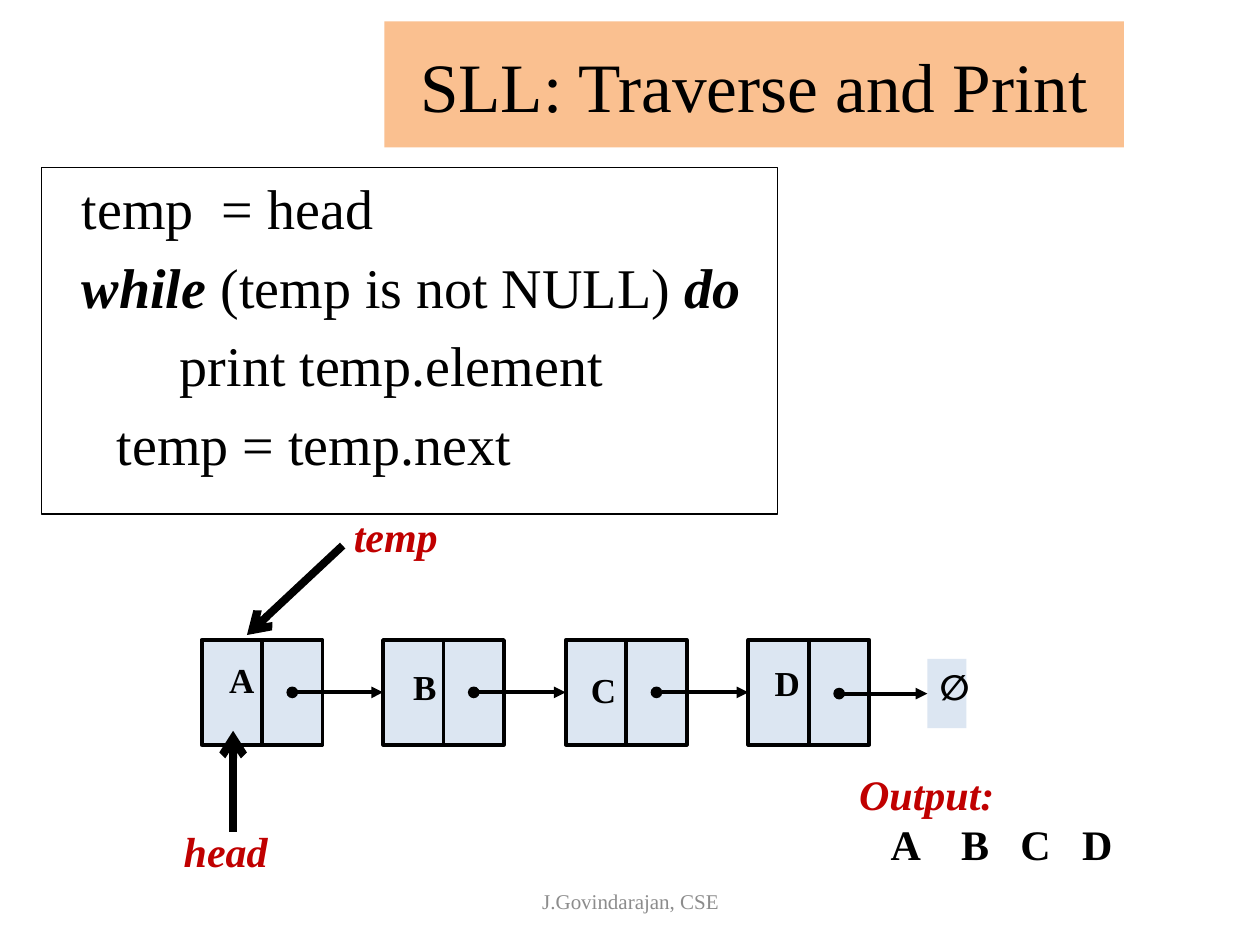
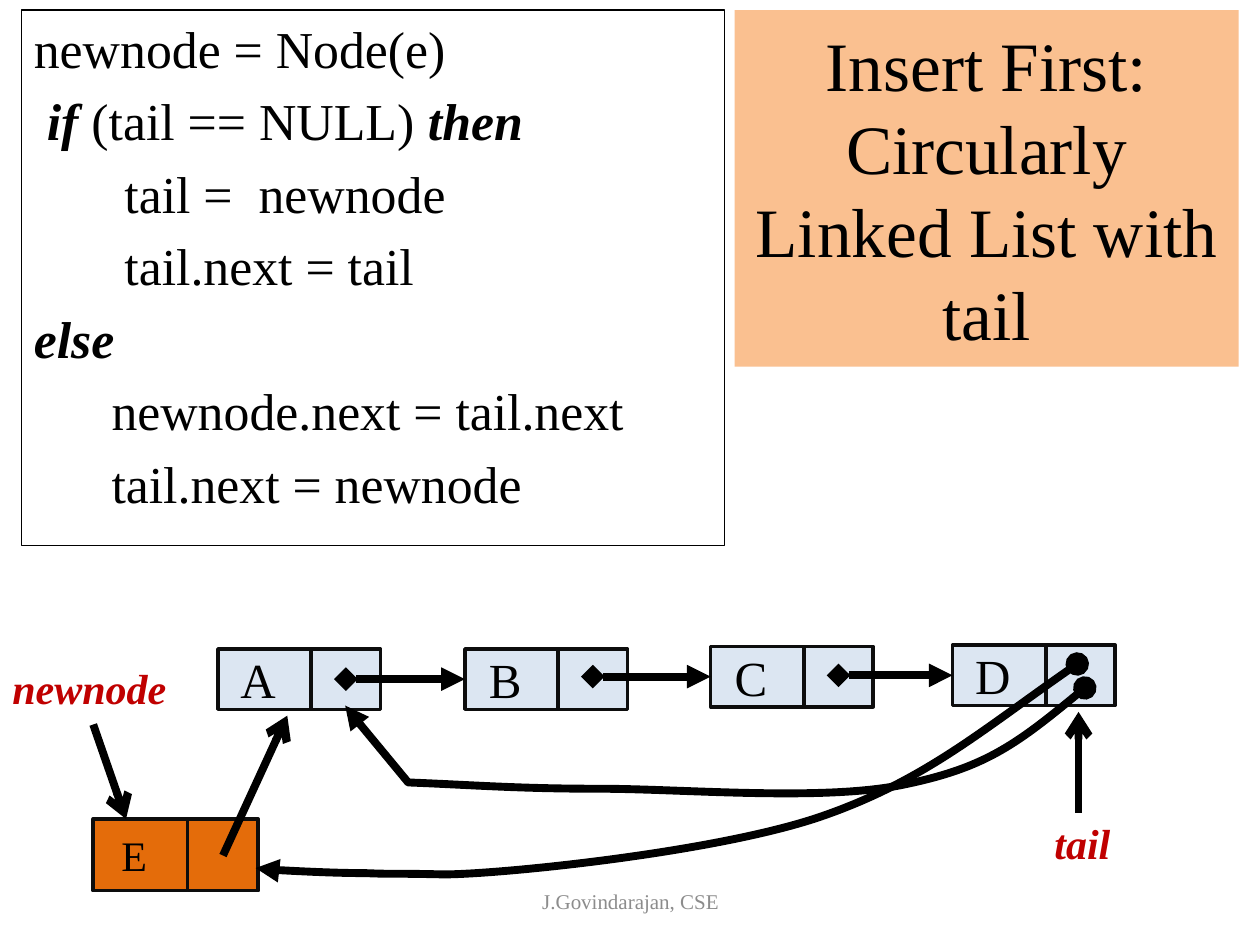
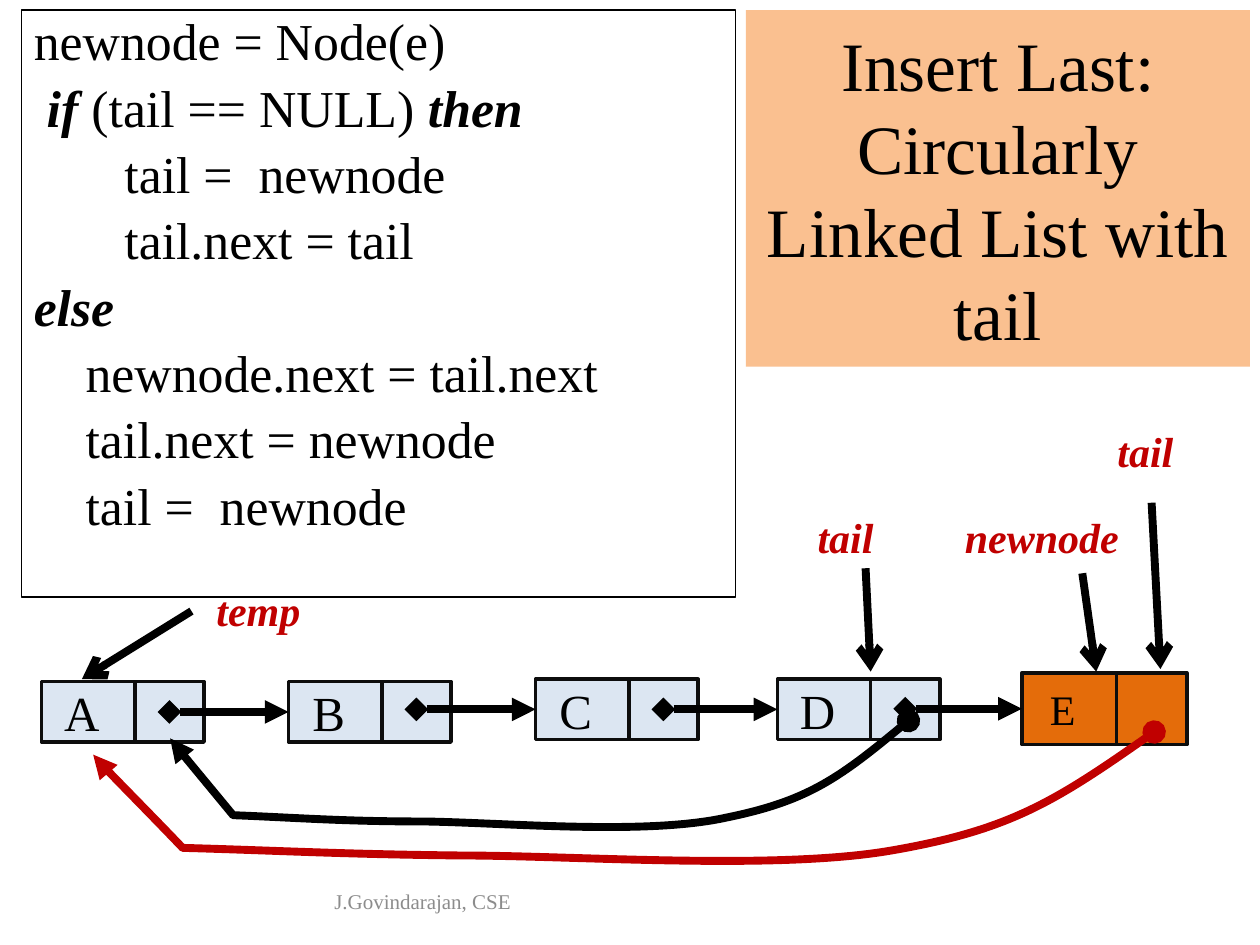
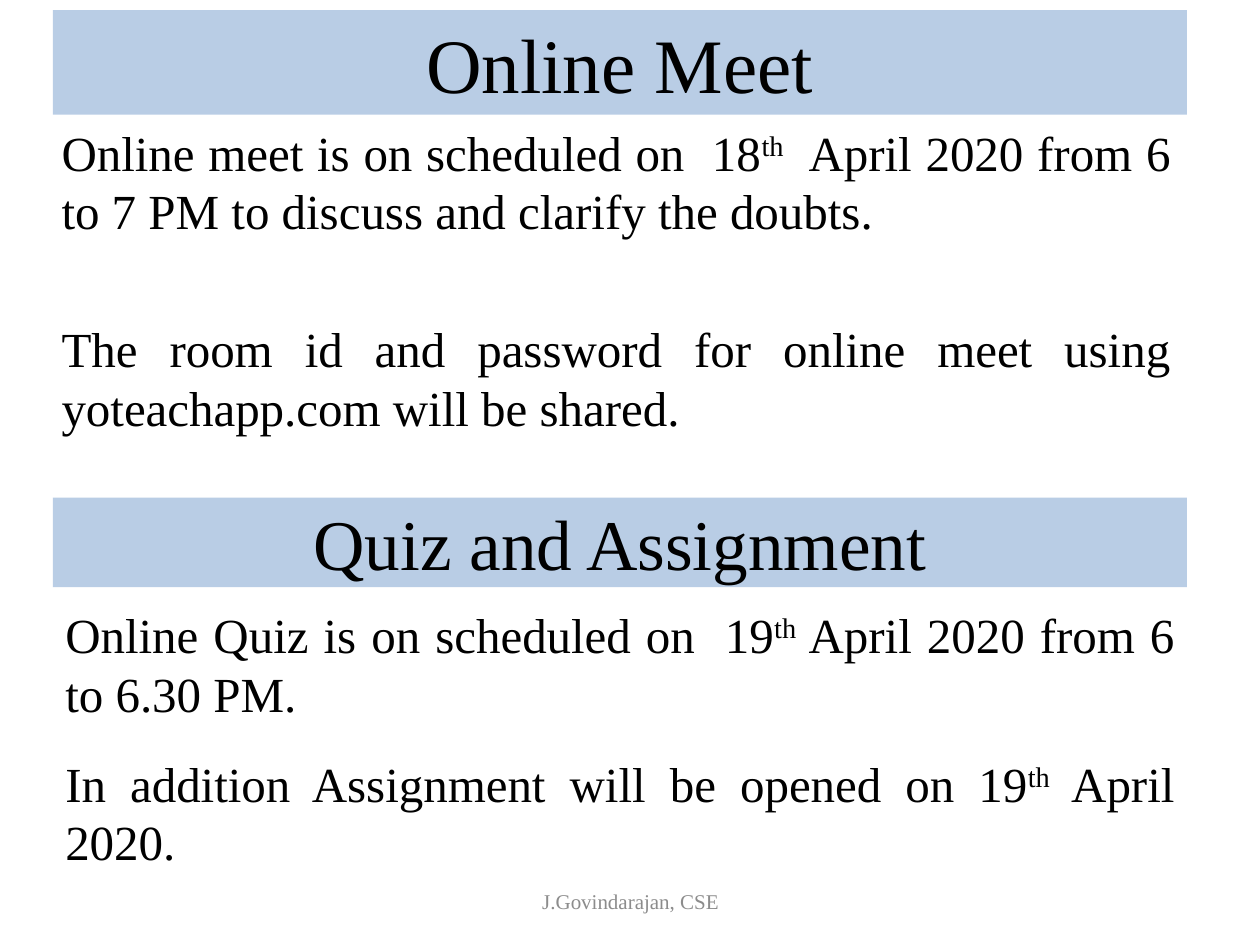
from dataclasses import dataclass

from lxml.etree import SubElement
from pptx import Presentation
from pptx.dml.color import RGBColor as Color
from pptx.enum.shapes import MSO_CONNECTOR as Connector, MSO_SHAPE as Shape
from pptx.enum.text import MSO_ANCHOR as Anchor, MSO_AUTO_SIZE as AutoSize, PP_ALIGN as Align
from pptx.oxml.ns import qn
from pptx.util import Emu, Pt

PX = 9144  # 100 px to the inch
TITLE_ONLY = 5
LEFT_SIDE = 1


@dataclass(frozen=True)
class Theme:
    font: str = "Times New Roman"
    symbol_font: str = "Calibri"
    ink: str = "000000"
    soft_ink: str = "0D0D0D"
    accent: str = "C00000"
    muted: str = "8C8C8C"
    peach: str = "FAC090"
    sky: str = "B9CDE5"
    node: str = "DCE6F2"
    new_node: str = "E46C0A"
    title: float = 39.6
    notice_title: float = 44
    subtitle: float = 40.7
    notice: float = 28
    node_text: float = 28
    label: float = 24
    cell_text: float = 20
    footer: float = 12
    pointer: float = 4.5
    link: float = 2.25
    outline: float = 2
    border: float = 0.75


class Board:
    """Holds the style and the slide being drawn."""

    def __init__(self, theme):
        self.theme = theme
        self.deck = Presentation()
        self.deck.slide_width, self.deck.slide_height = Emu(1000 * PX), Emu(750 * PX)
        self.page = None

    def new_page(self, title, area, fill, size, footer_left=342):
        layout = self.deck.slide_layouts[TITLE_ONLY]
        self.page = self.deck.slides.add_slide(layout)
        box = self.page.shapes.title
        box.left, box.top, box.width, box.height = (Emu(n * PX) for n in area)
        box.text_frame.auto_size = AutoSize.NONE
        self.paint(box, fill)
        self.fill_text(box, title, size)
        footer = self.text_box(footer_left, 695, 317, 40)
        self.fill_text(footer, "J.Govindarajan, CSE", self.theme.footer, self.theme.muted)

    # Text
    def style(self, span, size, color=None, bold=False, italic=False, font=None):
        span.font.name = font or self.theme.font
        span.font.size = Pt(size)
        span.font.bold, span.font.italic = bold, italic
        span.font.color.rgb = Color.from_string(color or self.theme.ink)

    def fill_text(self, box, text, size, color=None, align=Align.CENTER,
                  anchor=Anchor.MIDDLE, **look):
        frame = box.text_frame
        frame.text = text
        frame.vertical_anchor = anchor
        frame.word_wrap = True
        para = frame.paragraphs[0]
        para.alignment = align
        self.style(para.runs[0], size, color, **look)

    def text_box(self, left, top, width, height):
        area = (Emu(n * PX) for n in (left, top, width, height))
        box = self.page.shapes.add_textbox(*area)
        box.text_frame.word_wrap = True
        return box

    def marked(self, para, text, size, raised=False):
        """Pieces between asterisks are bold italic, or raised."""
        for index, piece in enumerate(text.split("*")):
            if not piece:
                continue
            strong = index % 2 == 1
            span = para.add_run()
            span.text = piece
            emphasis = strong and not raised
            self.style(span, size, bold=emphasis, italic=emphasis)
            if strong and raised:
                span.font._element.set("baseline", "30000")

    def code(self, area, lines, size, line_spacing=None):
        box = self.text_box(*area)
        self.outline(box, self.theme.ink, self.theme.border)
        frame = box.text_frame
        for index, line in enumerate(lines):
            para = frame.add_paragraph() if index else frame.paragraphs[0]
            if index:
                para.space_before = Pt(size * 0.2)
            if line_spacing:
                para.line_spacing = line_spacing
            self.marked(para, line, size)

    def notice(self, left, top, height, lines, gap):
        frame = self.text_box(left, top, 900, height).text_frame
        for index, line in enumerate(lines):
            para = frame.add_paragraph() if index else frame.paragraphs[0]
            para.alignment = Align.JUSTIFY
            if index:
                para.space_before = Pt(gap)
            self.marked(para, line, self.theme.notice, raised=True)

    def label(self, text, left, top, width):
        box = self.text_box(left, top, width, 50)
        self.fill_text(box, text, self.theme.label, self.theme.accent, Align.LEFT,
                       Anchor.TOP, bold=True, italic=True)
        box.text_frame.word_wrap = False
        return box

    def output(self, left, top, letters, stops):
        box = self.label("Output:", left, top, 225)
        para = box.text_frame.add_paragraph()
        tabs = SubElement(para._p.get_or_add_pPr(), qn("a:tabLst"))
        for stop in stops:
            SubElement(tabs, qn("a:tab"), pos=str(stop * PX), algn="l")
        span = para.add_run()
        span.text = "".join("\t" + letter for letter in letters)
        self.style(span, self.theme.label, bold=True)

    # Shapes
    def paint(self, box, fill):
        box.fill.solid()
        box.fill.fore_color.rgb = Color.from_string(fill)

    def outline(self, box, color, width):
        box.line.color.rgb = Color.from_string(color)
        box.line.width = Pt(width)

    def rect(self, left, top, width, height, fill, line=None, line_width=0):
        area = (Emu(n * PX) for n in (left, top, width, height))
        box = self.page.shapes.add_shape(Shape.RECTANGLE, *area)
        box.shadow.inherit = False
        self.paint(box, fill)
        if line:
            self.outline(box, line, line_width)
        else:
            box.line.fill.background()
        return box

    def node(self, text, left, top, widths=(74, 55), height=48, fill=None, size=None):
        """A value cell and a pointer cell, side by side."""
        theme = self.theme
        look = (fill or theme.node, theme.soft_ink, theme.outline)
        value = self.rect(left, top, widths[0], height, *look)
        self.fill_text(value, text, size or theme.node_text)
        value.text_frame.margin_right = Emu(20 * PX)
        pointer = self.rect(left + widths[0], top, widths[1], height, *look)
        return value, pointer

    def fresh_node(self, left, top):
        return self.node("E", left, top, (75, 56), 57, self.theme.new_node, self.theme.label)

    def tag(self, text, left, top, width, **look):
        """A letter on a small plate."""
        plate = self.rect(left, top, width, 55, self.theme.node)
        self.fill_text(plate, text, self.theme.cell_text, align=Align.LEFT,
                       anchor=Anchor.TOP, bold=True, **look)
        plate.text_frame.margin_right = 0
        return plate

    # Lines
    def ends(self, line, head, tail):
        stroke = line.line._get_or_add_ln()
        for name, kind in (("a:headEnd", head), ("a:tailEnd", tail)):
            if kind:
                SubElement(stroke, qn(name), type=kind)

    def connector(self, points, width, head=None, tail="arrow"):
        line = self.page.shapes.add_connector(Connector.STRAIGHT, *(Emu(n) for n in points))
        self.outline(line, self.theme.ink, width)
        self.ends(line, head, tail)
        SubElement(line._element.spPr, qn("a:effectLst"))
        return line

    def pointer(self, *points):
        self.connector([n * PX for n in points], self.theme.pointer)

    def link(self, source, target, width, head):
        """An arrow from the middle of a pointer cell to the next node."""
        middle = target.top + target.height // 2
        points = (source.left + source.width // 2, middle, target.left, middle)
        self.connector(points, width, head, "triangle").end_connect(target, LEFT_SIDE)

    def chain(self, nodes):
        for (_, pointer), (value, _) in zip(nodes, nodes[1:]):
            self.link(pointer, value, self.theme.pointer, "diamond")

    def curve(self, start, controls, color=None):
        """A Bezier line; every three control points make one piece."""
        builder = self.page.shapes.build_freeform(*start, scale=PX)
        builder.add_line_segments(controls, close=False)
        line = builder.convert_to_shape()
        line.shadow.inherit = False
        line.fill.background()
        self.outline(line, color or self.theme.ink, self.theme.pointer)
        self.ends(line, "oval", "triangle")
        route = line._element.find(".//" + qn("a:path"))
        steps = route.findall(qn("a:lnTo"))
        for first in range(0, len(steps), 3):
            piece = SubElement(route, qn("a:cubicBezTo"))
            for step in steps[first:first + 3]:
                piece.append(step[0])
                route.remove(step)


def traverse_page(board):
    theme = board.theme
    board.new_page("SLL: Traverse and Print", (305, 17, 587, 100), theme.peach, theme.title)
    board.code((33, 133, 584, 275), [
        "  temp  = head",
        "  *while* (temp is not NULL) *do*",
        "         print temp.element",
        "\ttemp = temp.next",
    ], 32)

    # Four two-cell nodes, their letters and the null mark
    cell, pitch = 48, 144.5
    look = (theme.node, theme.ink, theme.link)
    values, pointers = [], []
    for index in range(4):
        left = round(160 + index * pitch)
        values.append(board.rect(left, 508, cell, 83, *look))
        pointers.append(board.rect(left + cell, 508, cell, 83, *look))
    for letter, left, top in (("A", 172, 518), ("B", 318, 523), ("C", 459, 526), ("D", 605, 520)):
        board.tag(letter, left, top, 29)
    null = board.tag("∅", 736, 523, 31, font=theme.symbol_font)
    for pointer, target in zip(pointers, values[1:] + [null]):
        board.link(pointer, target, theme.link, "oval")

    # Names and output
    board.label("head", 136, 650, 88)
    board.pointer(185, 660, 185, 580)
    board.pointer(272, 433, 196, 504)
    board.label("temp", 271, 400, 87)
    board.output(672, 605, "ABCD", (25, 81, 128, 177))


INSERT_START = [
    "newnode = Node(e)",
    " *if* (tail == NULL) *then*",
    "       tail =  newnode",
    "       tail.next = tail",
    "*else*",
]
INSERT_SIZE = 29.6


def insert_first_page(board):
    theme = board.theme
    board.new_page("Insert First: Circularly Linked List with tail",
                   (583, 8, 400, 283), theme.peach, theme.title)
    board.code((17, 8, 558, 425), INSERT_START + [
        "      newnode.next = tail.next",
        "      tail.next = newnode",
    ], INSERT_SIZE)

    # New node and names
    board.label("tail", 827, 644, 65)
    board.fresh_node(74, 650)
    board.pointer(74, 575, 100, 650)
    board.label("newnode", 0, 521, 144)
    board.pointer(177, 679, 228, 568)
    board.pointer(856, 645, 856, 565)

    # List, with the old and the new way back to its start
    places = (("A", 173, 515), ("B", 369, 515), ("C", 564, 513), ("D", 756, 512))
    board.chain([board.node(*place) for place in places])
    board.curve((861, 546), [
        (807, 591), (780, 610), (716, 623), (652, 636), (541, 626), (476, 626),
        (411, 626), (375, 623), (324, 621), (310, 604), (261, 545), (274, 560)])
    board.curve((855, 527), [
        (781, 578), (732, 621), (649, 649), (565, 677), (396, 694), (352, 694),
        (308, 693), (315, 694), (290, 693), (265, 693), (181, 689), (203, 689)])


def insert_last_page(board):
    theme = board.theme
    board.new_page("Insert Last: Circularly Linked List with tail",
                   (592, 8, 400, 283), theme.peach, theme.title, footer_left=177)
    board.code((17, 8, 567, 466), INSERT_START + [
        "    newnode.next = tail.next",
        "    tail.next = newnode",
        "    tail =  newnode",
    ], INSERT_SIZE, line_spacing=0.9)

    # Names
    board.label("temp", 162, 459, 87)
    board.label("tail", 639, 401, 65)
    board.label("newnode", 756, 401, 144)
    board.label("tail", 877, 333, 65)

    # List with the new node at its end
    places = (("A", 33, 541), ("B", 229, 541), ("C", 425, 539), ("D", 617, 539))
    nodes = [board.node(*place) for place in places]
    board.chain(nodes + [board.fresh_node(811, 534)])
    for points in ((152, 485, 65, 539), (859, 455, 870, 533),
                   (687, 451, 691, 533), (914, 399, 921, 531)):
        board.pointer(*points)

    # Old and new way back to the start
    board.curve((721, 572), [
        (667, 617), (640, 636), (576, 649), (512, 663), (402, 653), (337, 652),
        (272, 652), (236, 649), (185, 647), (171, 630), (122, 571), (135, 586)])
    board.curve((916, 581), [
        (838, 636), (800, 659), (708, 675), (616, 691), (457, 679), (364, 679),
        (270, 678), (218, 675), (145, 673), (125, 652), (55, 581), (74, 599)],
        theme.accent)


def notice_page(board):
    theme = board.theme
    board.new_page("Online Meet", (42, 8, 900, 83), theme.sky, theme.notice_title)
    board.notice(39, 92, 300, [
        "Online meet is on scheduled on  18*th*  April 2020 from 6 to 7 PM"
        " to discuss and clarify the doubts.",
        "The room id and password for online meet using yoteachapp.com will be shared.",
    ], gap=45)
    banner = board.rect(42, 395, 900, 71, theme.sky)
    board.fill_text(banner, "Quiz and Assignment", theme.subtitle)
    board.notice(42, 475, 220, [
        "Online Quiz is on scheduled on  19*th* April 2020 from 6 to 6.30 PM.",
        "In addition Assignment will be opened on 19*th* April 2020.",
    ], gap=17.6)


def main():
    board = Board(Theme())
    for draw in (traverse_page, insert_first_page, insert_last_page, notice_page):
        draw(board)
    board.deck.save("out.pptx")


if __name__ == "__main__":
    main()
